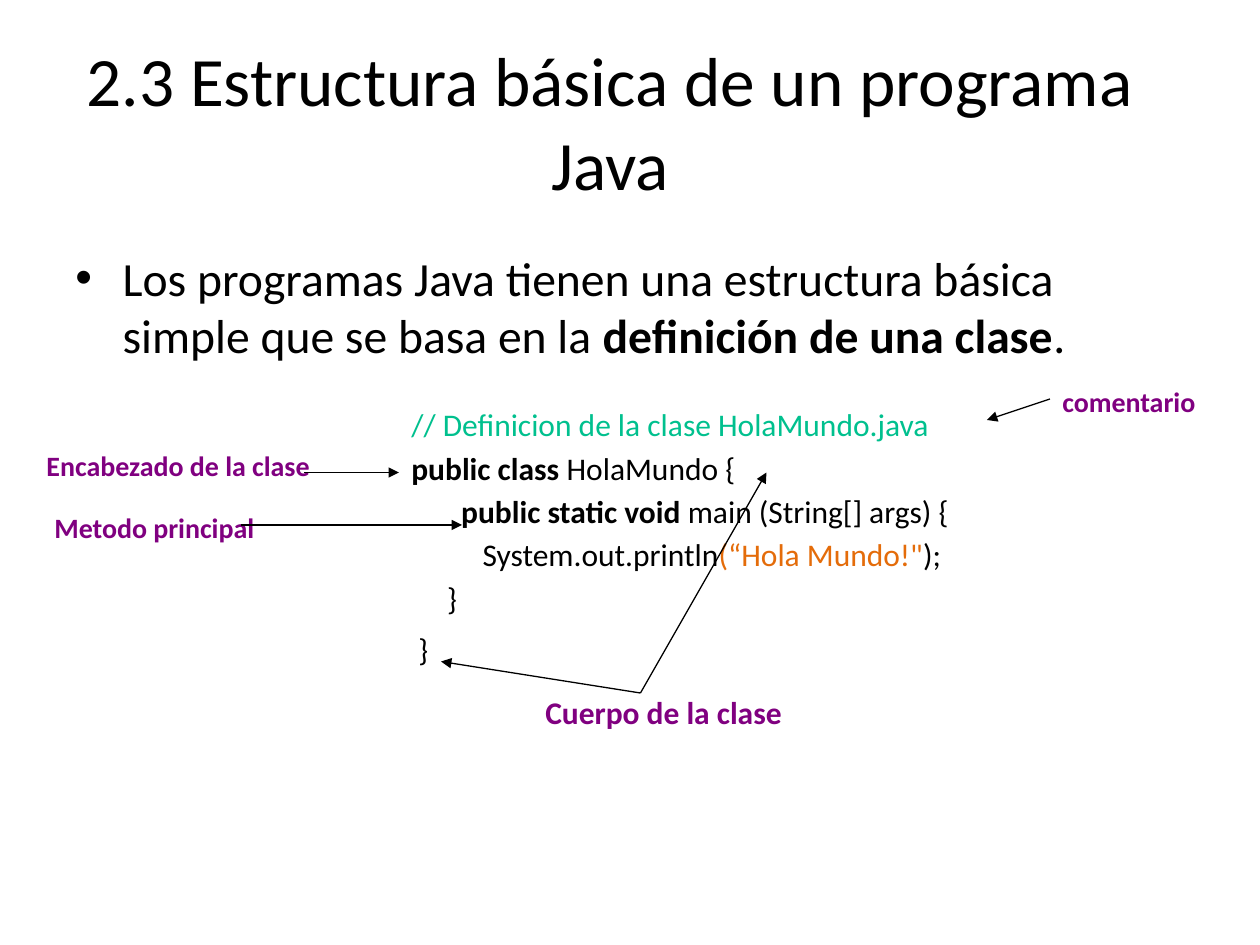
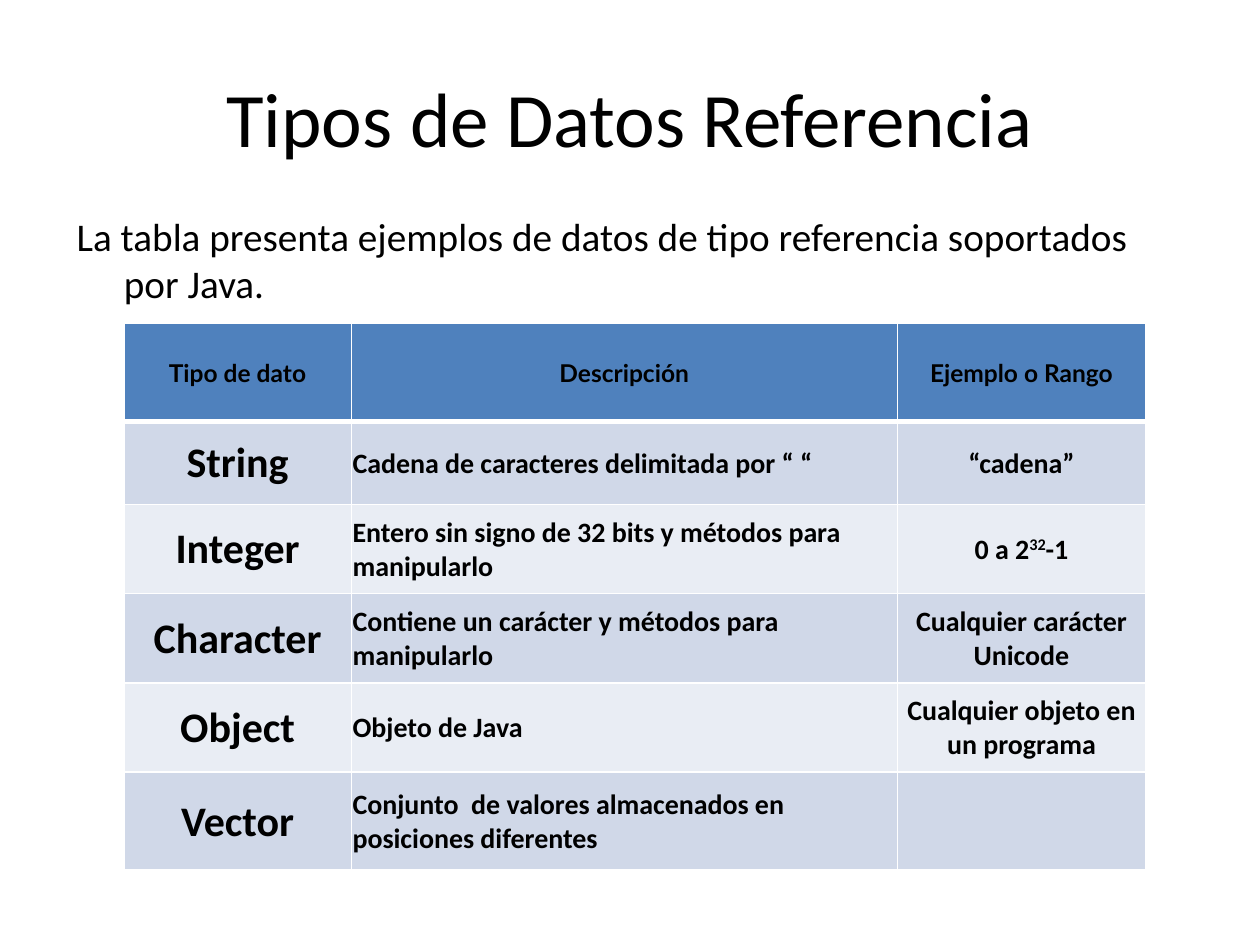
from lxml import etree
from pptx import Presentation
from pptx.dml.color import RGBColor
from pptx.enum.shapes import MSO_CONNECTOR
from pptx.enum.text import MSO_VERTICAL_ANCHOR as Anchor, PP_PARAGRAPH_ALIGNMENT as Align
from pptx.oxml import parse_xml
from pptx.oxml.ns import nsdecls, qn
from pptx.util import Pt

COLORS = {
    "text": "000000", "comment": "00C08E", "string": "E46C0A", "label": "800080",
    "header": "4F81BD", "band_dark": "D0D8E8", "band_light": "E9EDF4", "border": "FFFFFF",
}
HANGING = 27  # indent of body text
TITLE = {"size": Pt(44)}
BOLD = {"bold": True}


def write(paragraph, runs, font=None, **paragraph_format):
    """Fill a paragraph with (text, font values) runs."""
    for key, value in paragraph_format.items():
        setattr(paragraph, key, value)
    for text, changes in runs:
        run = paragraph.add_run()
        run.text = text
        values = {"name": "Calibri", "color": "text", **(font or {}), **changes}
        run.font.color.rgb = RGBColor.from_string(COLORS[values.pop("color")])
        baseline = values.pop("baseline", None)
        for key, value in values.items():
            setattr(run.font, key, value)
        if baseline:
            run.font._element.set("baseline", str(baseline))


def add_frame(slide, left, top, width, height, anchor=Anchor.TOP):
    """Add a wrapping text box and return its text frame."""
    frame = slide.shapes.add_textbox(Pt(left), Pt(top), Pt(width), Pt(height)).text_frame
    frame.word_wrap = True
    frame.vertical_anchor = anchor
    return frame


prs = Presentation()
prs.slide_width, prs.slide_height = Pt(720), Pt(540)
blank = prs.slide_layouts[6]
structure, types = [prs.slides.add_slide(blank) for _ in range(2)]

# Titles and introductions
headings = [
    (structure, (42, 24, 613, 90), "2.3 Estructura básica de un programa Java", 39.6),
    (types, (36, 21.6, 648, 90), "Tipos de Datos Referencia", 44),
]
for slide, place, title, size in headings:
    write(add_frame(slide, *place, Anchor.MIDDLE).paragraphs[0],
          [(title, {"size": Pt(size)})], alignment=Align.CENTER)

intros = [
    (structure, (36, 138.5, 612, 66), 27.2, "•", [
        ("Los programas Java tienen una estructura básica simple que se basa en la ", {}),
        ("definición de una clase", BOLD), (".", {})]),
    (types, (36.7, 117.5, 646.5, 51), 22.4, None, [
        ("La tabla presenta ejemplos de datos de tipo referencia soportados por Java.", {})]),
]
for slide, place, size, bullet, runs in intros:
    intro = add_frame(slide, *place).paragraphs[0]
    write(intro, runs, {"size": Pt(size)})
    properties = intro._p.get_or_add_pPr()
    properties.set("marL", str(Pt(HANGING)))
    properties.set("indent", str(-Pt(HANGING)))
    if bullet:
        etree.SubElement(properties, qn("a:buFont")).set("typeface", "Arial")
        etree.SubElement(properties, qn("a:buChar")).set("char", bullet)

# Java listing: indent, space before, runs
code_lines = [
    (0, 0, [("// Definicion de la clase HolaMundo.java", {"color": "comment"})]),
    (0, 3.2, [("public class ", BOLD), ("HolaMundo {", {})]),
    (28.5, 3.2, [("public static void ", BOLD), ("main (String[] args) {", {})]),
    (40.7, 3.2, [("System.out.println", {}), ("(“Hola Mundo!\"", {"color": "string"}),
                 (");", {})]),
    (20.4, 3.2, [("}", {})]),
    (4, 7.9, [("}", {})]),
]
listing = add_frame(structure, 228, 228, 358.5, 165.5)
for number, (indent, gap, runs) in enumerate(code_lines):
    line = listing.add_paragraph() if number else listing.paragraphs[0]
    write(line, runs, {"size": Pt(18)}, space_before=Pt(gap))
    line._p.get_or_add_pPr().set("marL", str(Pt(indent)))

# Labels around the listing
labels = [
    ("comentario", 600, 216, 94.5, 16),
    ("Encabezado de la clase", 19.5, 252.5, 188.5, 16),
    ("Cuerpo de la clase", 304.5, 392.5, 214, 18),
    ("Metodo principal", 24, 288, 132, 16),
]
for text, left, top, width, size in labels:
    write(add_frame(structure, left, top, width, 27).paragraphs[0],
          [(text, {"size": Pt(size), "bold": True, "color": "label"})])

# Arrows from each label to its code
arrows = [
    (600, 228, 564, 240), (174, 270, 228, 270), (366, 396, 252, 378),
    (366, 396, 438, 270), (138, 300, 264, 300),
]
for ends in arrows:
    arrow = structure.shapes.add_connector(MSO_CONNECTOR.STRAIGHT, *map(Pt, ends))
    arrow.line.color.rgb = RGBColor.from_string(COLORS["text"])
    arrow.line.width = Pt(0.75)
    etree.SubElement(arrow.line._get_or_add_ln(), qn("a:tailEnd")).set("type", "triangle")
    etree.SubElement(arrow._element.spPr, qn("a:effectLst"))

# Table of reference types
rows = [
    ("Tipo de dato", "Descripción", "Ejemplo o Rango"),
    ("String", "Cadena de caracteres delimitada por “ “", "“cadena”"),
    ("Integer", "Entero sin signo de 32 bits y métodos para manipularlo",
     [("0 a 2", {}), ("32", {"baseline": 30000}), ("-1", {})]),
    ("Character", "Contiene un carácter y métodos para manipularlo",
     "Cualquier carácter Unicode"),
    ("Object", "Objeto de Java", "Cualquier objeto en un programa"),
    ("Vector", "Conjunto  de valores almacenados en posiciones diferentes", ""),
]
widths = [130, 312, 142]
heights = [56, 47.5, 51, 51, 51, 56]
column_sizes = [24, 16, 16]
column_aligns = [Align.CENTER, Align.LEFT, Align.CENTER]
cell_format = {
    "vertical_anchor": Anchor.MIDDLE, "margin_left": Pt(0.75), "margin_right": Pt(0.75),
    "margin_top": Pt(0.75), "margin_bottom": 0,
}
table = types.shapes.add_table(len(rows), len(widths), Pt(70.75), Pt(184.75),
                               Pt(sum(widths)), Pt(sum(heights))).table
for column, width in zip(table.columns, widths):
    column.width = Pt(width)
for r, (row, height) in enumerate(zip(rows, heights)):
    table.rows[r].height = Pt(height)
    band = "header" if r == 0 else "band_dark" if r % 2 else "band_light"
    for c, content in enumerate(row):
        cell = table.cell(r, c)
        for key, value in cell_format.items():
            setattr(cell, key, value)
        cell.fill.solid()
        cell.fill.fore_color.rgb = RGBColor.from_string(COLORS[band])

        # White borders, heavier under the header
        borders = {"lnL": 1, "lnR": 1, "lnT": 3 if r == 1 else 1, "lnB": 3 if r == 0 else 1}
        for position, (side, weight) in enumerate(borders.items()):
            cell._tc.get_or_add_tcPr().insert(position, parse_xml(
                f'<a:{side} {nsdecls("a")} w="{Pt(weight)}"><a:solidFill>'
                f'<a:srgbClr val="{COLORS["border"]}"/></a:solidFill></a:{side}>'))

        if content:
            runs = [(content, {})] if isinstance(content, str) else content
            font = {"name": "Calibri" if r else "Lato", "bold": True,
                    "size": Pt(column_sizes[c] if r else 14)}
            write(cell.text_frame.paragraphs[0], runs, font,
                  alignment=column_aligns[c] if r else Align.CENTER)

prs.save("out.pptx")
